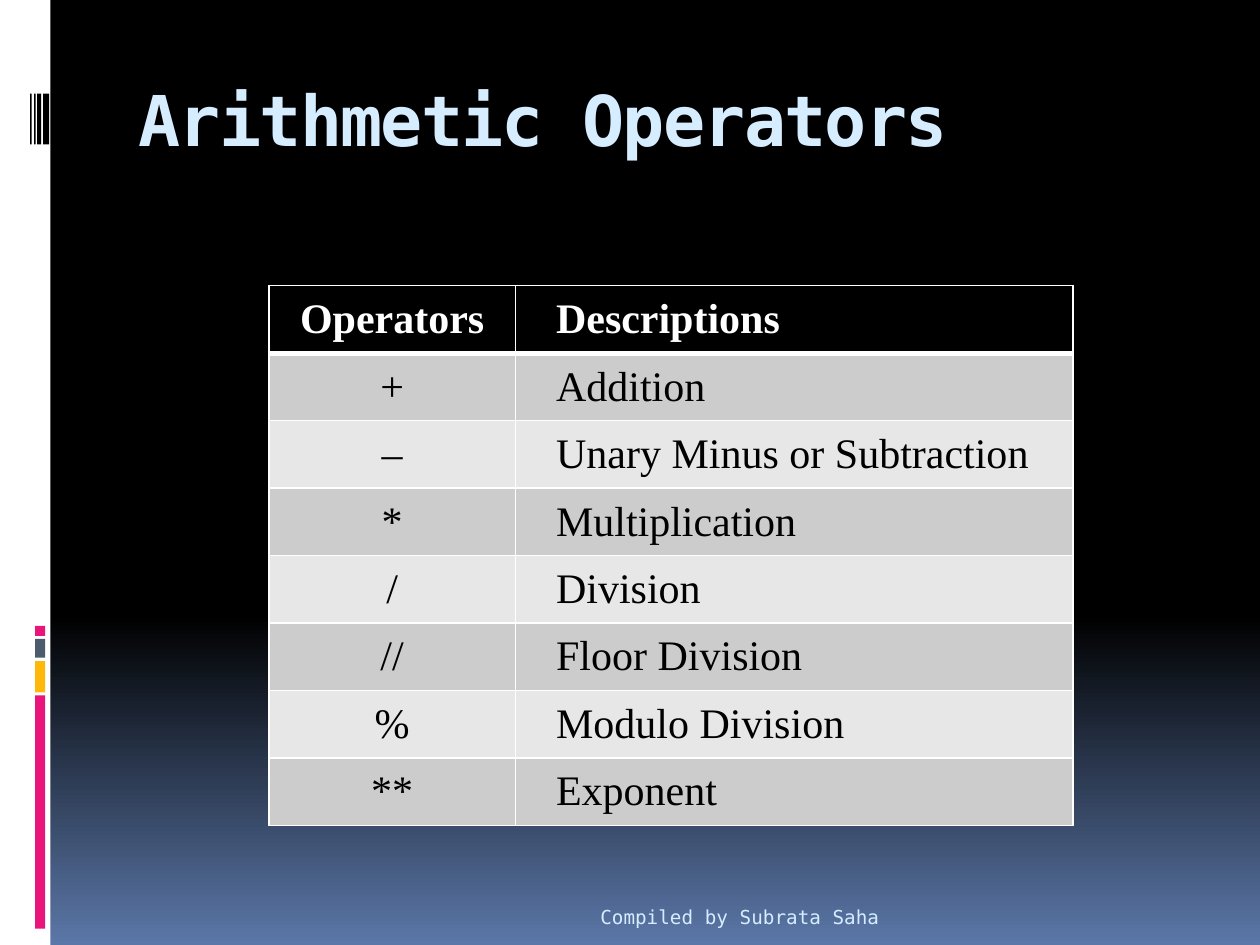
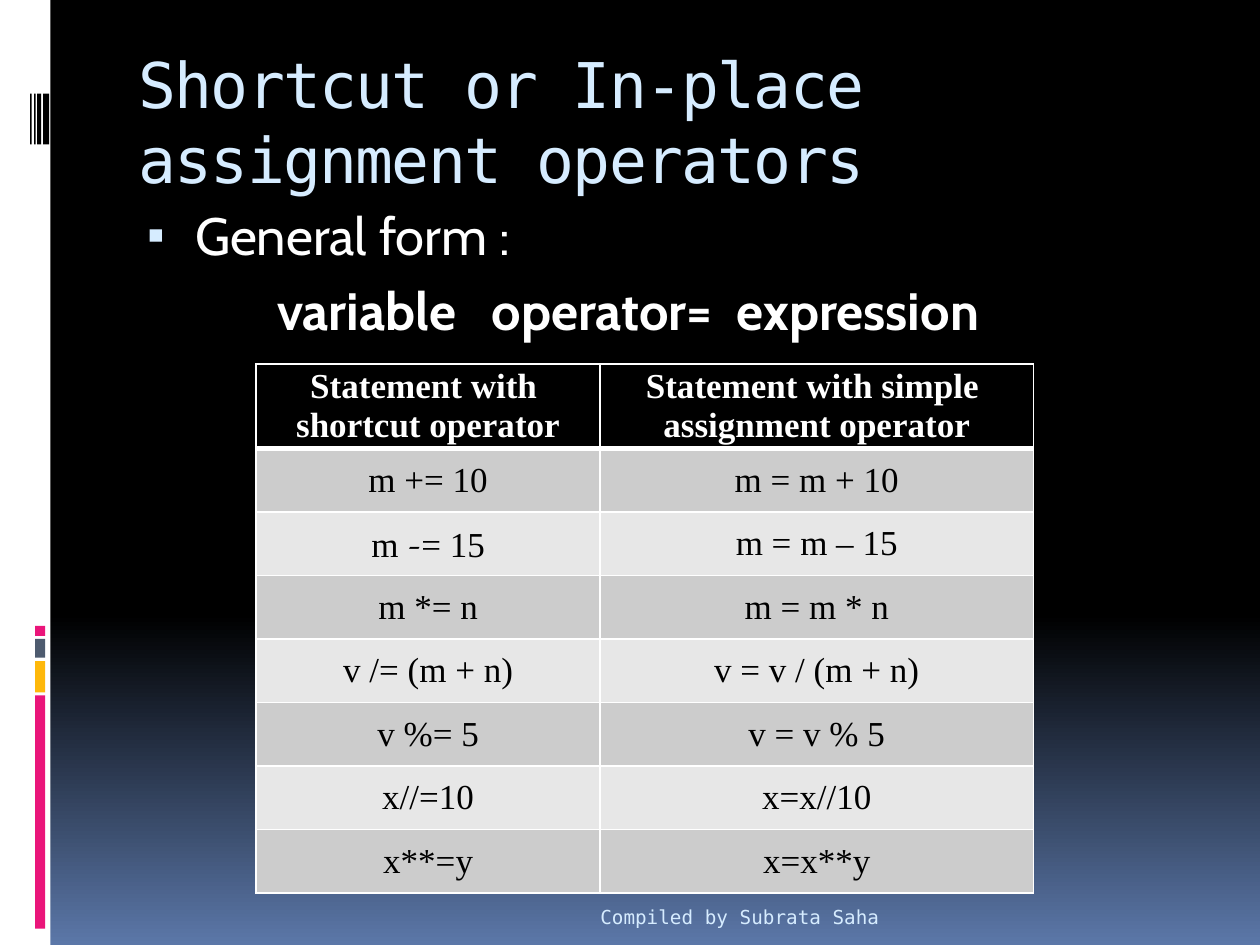
"""Build two slides on Python operators, each with a table."""
from lxml import etree
from pptx import Presentation
from pptx.dml.color import RGBColor
from pptx.enum.shapes import MSO_SHAPE
from pptx.enum.text import MSO_ANCHOR, MSO_AUTO_SIZE, PP_ALIGN
from pptx.oxml import parse_xml
from pptx.oxml.ns import nsdecls, qn
from pptx.util import Cm, Pt

RECTANGLE = MSO_SHAPE.RECTANGLE
LEFT, CENTER, RIGHT = PP_ALIGN.LEFT, PP_ALIGN.CENTER, PP_ALIGN.RIGHT
TOP, MIDDLE, BOTTOM = MSO_ANCHOR.TOP, MSO_ANCHOR.MIDDLE, MSO_ANCHOR.BOTTOM
NO_FIT = MSO_AUTO_SIZE.NONE
TITLE_ONLY, TITLE_AND_BODY = 5, 1

COLORS = {
    "black": "000000", "white": "FFFFFF", "sky": "D6ECFF", "dusk": "5B77A8",
    "pink": "EA157A", "amber": "FEB80A", "slate": "4E5B6F",
    "dark row": "CCCCCC", "light row": "E7E7E7",
}
MONO, SANS, SERIF, DASH = "DejaVu Sans Mono", "Cabin", "Times New Roman", "TeX Gyre Bonum"
BACKGROUND_STOPS = [(0, "black"), (65, "black"), (100, "dusk")]
BANDS = [
    (0, 0, 1.02, 19.05, "white"),
    (0.71, 14.02, 0.2, 4.7, "pink"),
    (0.71, 13.33, 0.2, 0.63, "amber"),
    (0.71, 12.88, 0.2, 0.38, "slate"),
    (0.71, 12.62, 0.2, 0.2, "pink"),
    (0.87, 1.89, 0.12, 1.02, "black"),
    (0.75, 1.89, 0.08, 1.02, "black"),
    (0.69, 1.89, 0.03, 1.02, "black"),
    (0.61, 1.89, 0.03, 1.02, "black"),
]


def rgb(name):
    """Return a named colour."""
    return RGBColor.from_string(COLORS[name])


def write(para, text, font=SERIF, size=20, color="black", bold=False, spacing=0):
    """Add formatted text to a paragraph, breaking lines at newlines."""
    for index, line in enumerate(text.split("\n")):
        if index:
            para.add_line_break()
        span = para.add_run()
        span.text = line
        span.font.name = font
        span.font.size = Pt(size)
        span.font.bold = bold
        span.font.color.rgb = rgb(color)
        if spacing:
            span.font._element.set("spc", str(round(spacing * 100)))


def add_border(cell, side, width):
    """Draw a white border on one side of a table cell."""
    properties = cell._tc.get_or_add_tcPr()
    line = etree.SubElement(properties, qn(f"a:ln{side}"), w=str(Pt(width)))
    fill = etree.SubElement(line, qn("a:solidFill"))
    etree.SubElement(fill, qn("a:srgbClr"), val=COLORS["white"])


def indent(para, margin, first=0):
    """Set the left margin and first line indent of a paragraph."""
    properties = para._p.get_or_add_pPr()
    properties.set("marL", str(Cm(margin)))
    properties.set("indent", str(Cm(first)))
    return properties


class OperatorDeck:
    """Hold the deck, its style and the current page."""

    def __init__(self):
        """Start a deck with a gradient background."""
        self.deck = Presentation()
        self.deck.slide_width, self.deck.slide_height = Cm(25.4), Cm(19.05)
        self.page = None
        self.paint_background()

    def paint_background(self):
        """Give the master its gradient from black to blue."""
        stops = "".join(
            f'<a:gs pos="{place * 1000}"><a:srgbClr val="{COLORS[name]}"/></a:gs>'
            for place, name in BACKGROUND_STOPS)
        background = parse_xml(
            f'<p:bg {nsdecls("p", "a")}><p:bgPr><a:gradFill rotWithShape="1">'
            f'<a:gsLst>{stops}</a:gsLst><a:lin ang="5400000" scaled="0"/>'
            f'</a:gradFill><a:effectLst/></p:bgPr></p:bg>')
        common = self.deck.slide_master.element.find(qn("p:cSld"))
        for old in common.findall(qn("p:bg")):
            common.remove(old)
        common.insert(0, background)

    def add_page(self, layout):
        """Start a page with the side bands."""
        self.page = self.deck.slides.add_slide(self.deck.slide_layouts[layout])
        for left, top, width, height, color in BANDS:
            band = self.page.shapes.add_shape(
                RECTANGLE, Cm(left), Cm(top), Cm(width), Cm(height))
            band.shadow.inherit = False
            band.fill.solid()
            band.fill.fore_color.rgb = rgb(color)
            band.line.fill.background()

    def place(self, box, left, top, width, height, anchor=TOP):
        """Position a text box and return its first paragraph."""
        box.left, box.top, box.width, box.height = Cm(left), Cm(top), Cm(width), Cm(height)
        frame = box.text_frame
        frame.word_wrap = True
        frame.auto_size = NO_FIT
        frame.vertical_anchor = anchor
        return frame.paragraphs[0]

    def add_title(self, text, top, width, height, **style):
        """Fill the title placeholder."""
        title = self.page.shapes.title
        para = self.place(title, 2.54, top, width, height)
        title.text_frame.margin_top = Cm(0.12)
        para.alignment = LEFT
        write(para, text, font=MONO, color="sky", spacing=-1, **style)

    def add_general_form(self, heading, words, gaps):
        """Fill the body with a bullet and a spaced line of words."""
        body = self.page.placeholders[1]
        para = self.place(body, 2.54, 3.96, 21.59, 13.28)
        para.space_before = Pt(7)
        properties = indent(para, 1.14, -0.97)
        bullet_color = etree.SubElement(properties, qn("a:buClr"))
        etree.SubElement(bullet_color, qn("a:srgbClr"), val=COLORS["sky"])
        etree.SubElement(properties, qn("a:buSzPct"), val="95000")
        etree.SubElement(properties, qn("a:buChar"), char="▪")
        style = {"font": SANS, "size": 30, "color": "white"}
        write(para, heading, **style)

        para = body.text_frame.add_paragraph()
        para.space_before = Pt(7)
        etree.SubElement(indent(para, 2.79), qn("a:buNone"))
        for word, gap in zip(words, gaps):
            write(para, word, bold=True, **style)
            if gap:
                write(para, " ", bold=True, spacing=gap, **style)

    def add_table(self, rows, left, top, widths, header_height, row_height, size,
                  margins, aligns):
        """Add a table with a black header and grey stripes."""
        heights = [header_height] + [row_height] * (len(rows) - 1)
        table = self.page.shapes.add_table(
            len(rows), len(widths), Cm(left), Cm(top),
            Cm(sum(widths)), Cm(sum(heights))).table
        table.horz_banding = False
        for column, width in zip(table.columns, widths):
            column.width = Cm(width)
        for index, (row, height) in enumerate(zip(rows, heights)):
            table.rows[index].height = Cm(height)
            for number, content in enumerate(row):
                cell = table.cell(index, number)
                cell.margin_left, cell.margin_right = map(Cm, margins[number])
                cell.margin_top = cell.margin_bottom = Cm(0)
                cell.vertical_anchor = MIDDLE
                for side in "LRTB":
                    thick = (index, side) in ((0, "B"), (1, "T"))
                    add_border(cell, side, 3 if thick else 1)
                stripe = "dark row" if index % 2 else "light row"
                cell.fill.solid()
                cell.fill.fore_color.rgb = rgb(stripe if index else "black")
                para = cell.text_frame.paragraphs[0]
                para.alignment = aligns[number]
                spans = [(content, SERIF)] if isinstance(content, str) else content
                for text, font in spans:
                    write(para, text, font=font, size=size, bold=index == 0,
                          color="black" if index else "white")

    def add_footer(self, text):
        """Add the footer line."""
        box = self.page.shapes.add_textbox(0, 0, 0, 0)
        para = self.place(box, 2.54, 17.83, 15.44, 1.02, BOTTOM)
        para.alignment = RIGHT
        write(para, text, font=MONO, size=11, color="sky")


ARITHMETIC = [
    ("Operators", "Descriptions"),
    ("+", "Addition"),
    ("–", "Unary Minus or Subtraction"),
    ("*", "Multiplication"),
    ("/", "Division"),
    ("//", "Floor Division"),
    ("%", "Modulo Division"),
    ("**", "Exponent"),
]
SHORTCUTS = [
    ("Statement with \nshortcut operator", "Statement with simple \nassignment operator"),
    ("m += 10", "m = m + 10"),
    ([("m ", SERIF), ("-", DASH), ("= 15", SERIF)], "m = m – 15"),
    ("m *= n", "m = m * n"),
    ("v /= (m + n)", "v = v / (m + n)"),
    ("v %= 5", "v = v % 5"),
    ("x//=10", "x=x//10"),
    ("x**=y", "x=x**y"),
]
FOOTER = "Compiled by Subrata Saha"


def main():
    """Build and save the deck."""
    operators = OperatorDeck()

    operators.add_page(TITLE_ONLY)
    operators.add_title("Arithmetic Operators", 1.42, 21.59, 2.54, size=40, bold=True)
    operators.add_table(ARITHMETIC, 5.42, 5.76, (4.97, 11.24), 1.36, 1.36, 24,
                        ((0.18, 0.18), (0.82, 0.18)), (CENTER, LEFT))
    operators.add_footer(FOOTER)

    operators.add_page(TITLE_AND_BODY)
    operators.add_title("Shortcut or In-place assignment operators",
                        0.79, 22.07, 3.15, size=36)
    operators.add_general_form("General form :", ("variable", "operator=", "expression"),
                               (13.5, 6.7, 0))
    operators.add_table(SHORTCUTS, 5.16, 7.34, (6.94, 8.73), 1.7, 1.28, 20,
                        ((0, 0), (0.18, 0.18)), (CENTER, CENTER))
    operators.add_footer(FOOTER)

    operators.deck.save("out.pptx")


main()
